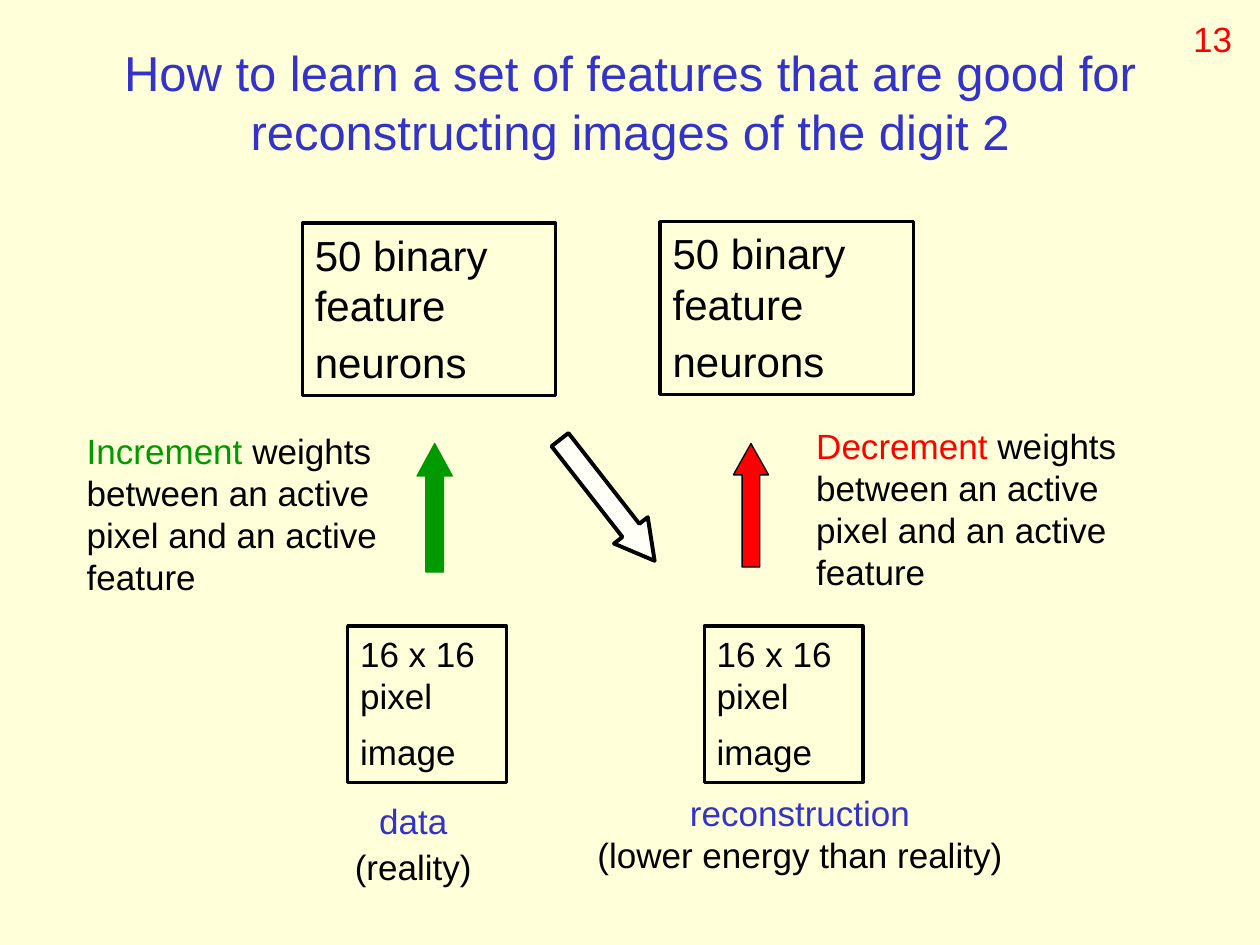
import pptx
import pptx.dml.color
import pptx.enum.shapes
import pptx.enum.text
import pptx.util

Inches = pptx.util.Inches
Pt = pptx.util.Pt
Shapes = pptx.enum.shapes.MSO_SHAPE
Align = pptx.enum.text.PP_ALIGN
Anchor = pptx.enum.text.MSO_ANCHOR

BLACK, BLUE, GREEN, RED = "000000", "3333CC", "009900", "FF0000"


def color(value):
    return pptx.dml.color.RGBColor.from_string(value)


class Slide:
    font = "Arial"
    background = "FFFFD9"

    def __init__(self, deck):
        self.page = deck.slides.add_slide(deck.slide_layouts[5])
        self.page.background.fill.solid()
        self.page.background.fill.fore_color.rgb = color(self.background)

    def style(self, para, size, ink, align=Align.LEFT):
        para.alignment = align
        para.font.name = self.font
        para.font.size = Pt(size)
        para.font.color.rgb = color(ink)

    def title(self, text, left, top, width, height):
        box = self.page.shapes.title
        box.left, box.top = Inches(left), Inches(top)
        box.width, box.height = Inches(width), Inches(height)
        box.text_frame.text = text
        box.text_frame.vertical_anchor = Anchor.MIDDLE
        self.style(box.text_frame.paragraphs[0], 28, BLUE, Align.CENTER)

    def shape(self, kind, left, top, width, height, line_width, line=BLACK, fill=None):
        shape = self.page.shapes.add_shape(
            kind, Inches(left), Inches(top), Inches(width), Inches(height))
        shape.shadow.inherit = False
        shape.line.color.rgb = color(line)
        shape.line.width = Pt(line_width)
        if fill:
            shape.fill.solid()
            shape.fill.fore_color.rgb = color(fill)
        else:
            shape.fill.background()
        return shape

    def layer(self, text, size, left, top, width, height):
        """Outlined box for one layer of neurons or pixels."""
        box = self.shape(Shapes.RECTANGLE, left, top, width, height, 2)
        frame = box.text_frame
        frame.word_wrap = True
        frame.vertical_anchor = Anchor.TOP
        para = frame.paragraphs[0]
        self.style(para, size, BLACK)
        para.add_run().text = text
        # A larger closing space makes the last line taller.
        span = para.add_run()
        span.text = " "
        span.font.size = Pt(28)

    def arrow(self, kind, left, top, width, height, head, fill, line, line_width, turn=0):
        arrow = self.shape(kind, left, top, width, height, line_width, line, fill)
        arrow.adjustments[0] = 0.5
        arrow.adjustments[1] = head
        arrow.rotation = turn

    def text(self, paragraphs, left, top, width, height, align=Align.LEFT, gap=0):
        """Each paragraph is a list of (text, colour) spans."""
        box = self.page.shapes.add_textbox(
            Inches(left), Inches(top), Inches(width), Inches(height))
        frame = box.text_frame
        frame.word_wrap = True
        for index, spans in enumerate(paragraphs):
            para = frame.add_paragraph() if index else frame.paragraphs[0]
            if index:
                para.space_before = Pt(gap)
            self.style(para, 20, spans[0][1], align)
            for words, ink in spans:
                span = para.add_run()
                span.text = words
                span.font.color.rgb = color(ink)


def main():
    deck = pptx.Presentation()
    deck.slide_width, deck.slide_height = Inches(10), Inches(7.5)
    slide = Slide(deck)
    slide.title("How to learn a set of features that are good for "
                "reconstructing images of the digit 2", 0.5, 0.18, 9, 1.25)

    for feature_left, feature_top, pixel_left in ((2.4, 1.77, 2.76), (5.24, 1.76, 5.59)):
        slide.layer("50 binary feature neurons", 24, feature_left, feature_top, 2.01, 1.37)
        slide.layer("16 x 16 pixel image", 20, pixel_left, 4.97, 1.26, 1.24)

    slide.arrow(Shapes.DOWN_ARROW, 4.65, 3.36, 0.34, 1.22, 0.9, "FFFFF7", BLACK, 2.25, 322)
    slide.arrow(Shapes.UP_ARROW, 3.31, 3.52, 0.28, 1.02, 0.92, GREEN, GREEN, 0.75)
    slide.arrow(Shapes.UP_ARROW, 5.82, 3.52, 0.28, 0.98, 0.89, RED, BLACK, 0.75)

    for verb, ink, left, top in (("Increment", GREEN, 0.59, 3.36),
                                 ("Decrement", RED, 6.38, 3.32)):
        rule = [(verb, ink),
                (" weights between an active pixel and an active feature", BLACK)]
        slide.text([rule], left, top, 2.87, 1.44)

    slide.text([[("data", BLUE)], [("(reality)", BLACK)]],
               2.59, 6.3, 1.38, 0.77, Align.CENTER, 2)
    slide.text([[("reconstruction", BLUE)], [("(lower energy than reality)", BLACK)]],
               4.6, 6.23, 3.5, 0.77, Align.CENTER)
    slide.text([[("13", RED)]], 9.37, 0.09, 0.55, 0.44)
    deck.save("out.pptx")


if __name__ == "__main__":
    main()
